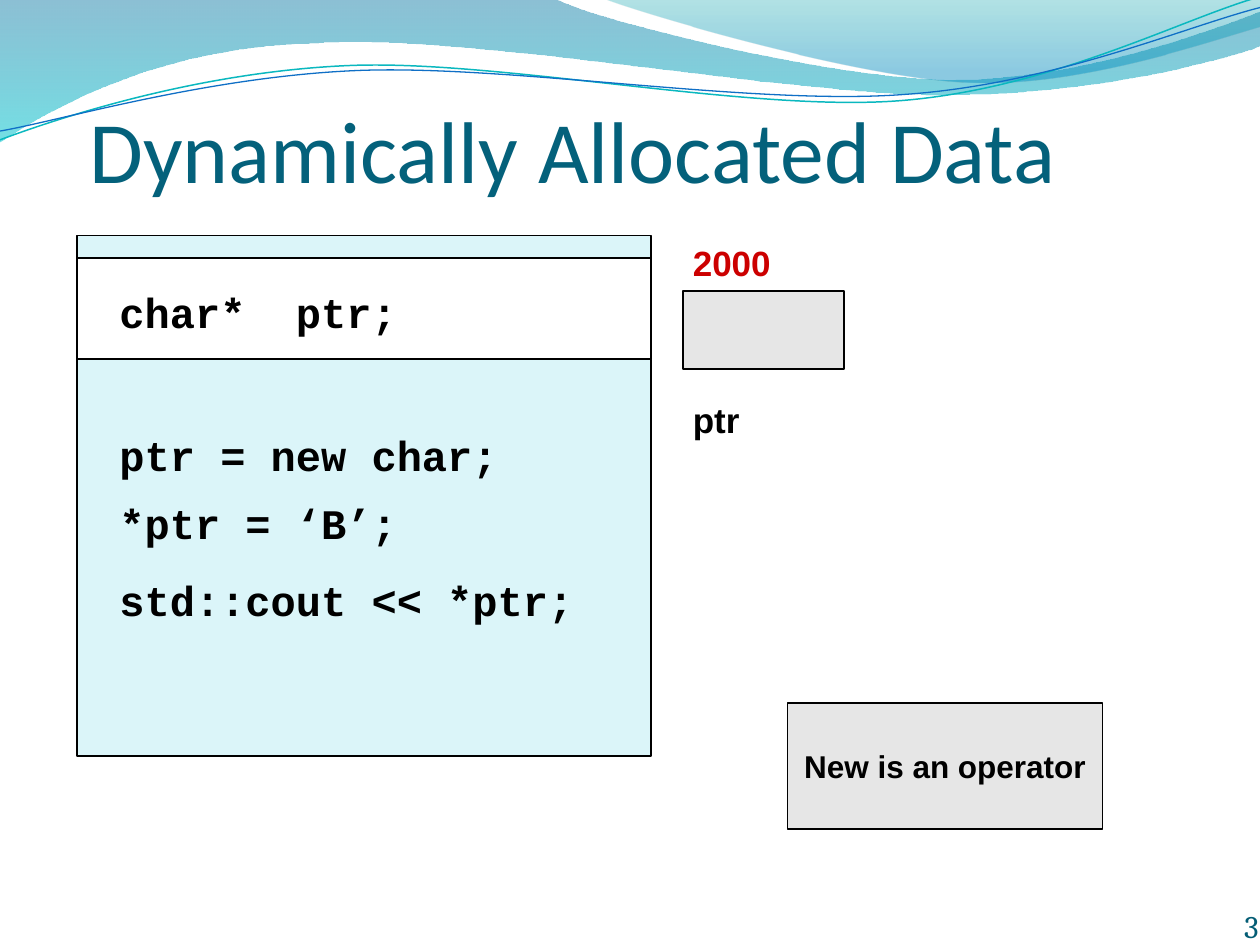
"""Build the slide on dynamically allocated data with its wave header."""
from dataclasses import dataclass
from math import cos, radians, sin

from lxml.etree import SubElement
from pptx import Presentation
from pptx.dml.color import RGBColor
from pptx.enum.shapes import MSO_SHAPE
from pptx.enum.text import MSO_ANCHOR, PP_ALIGN
from pptx.oxml.ns import qn
from pptx.util import Inches, Pt


@dataclass(frozen=True)
class Theme:
    title: str = "04617B"
    number: str = "045D75"
    ink: str = "000000"
    address: str = "CC0000"
    panel: str = "DBF5F9"
    box: str = "E6E6E6"
    paper: str = "FFFFFF"
    band_stops: tuple = (((0, "0074A1", 45), (1, "00C6CF", 55)),
                         ((0, "00A1A9", 30), (0.8, "008BBF", 45)))
    strands: tuple = ("0AB8BF", "0F6FC6")
    title_size: int = 50
    code_size: int = 24
    label_size: int = 20
    note_size: int = 18


def add_wave(shapes, start, segments, tilt=0):
    """Add a freeform of straight (2 numbers) and cubic (6 numbers) segments."""
    points = [start] + [seg[i:i + 2] for seg in segments for i in range(0, len(seg), 2)]
    cx, cy = 4.99, 0.58
    c, sn = cos(radians(-tilt)), sin(radians(-tilt))
    points = [(Inches(cx + (x - cx) * c - (y - cy) * sn),
               Inches(cy + (x - cx) * sn + (y - cy) * c)) for x, y in points]
    builder = shapes.build_freeform(*points[0])
    builder.add_line_segments(points[1:], close=points[0] == points[-1])
    sp = builder.convert_to_shape()
    sp.shadow.inherit = False
    sp.rotation = tilt
    lines = iter(list(sp.element.iter(qn("a:lnTo"))))
    for seg in segments:
        first = next(lines)
        if len(seg) == 6:
            first.tag = qn("a:cubicBezTo")
            for _ in range(2):
                line = next(lines)
                first.append(line[0])
                line.getparent().remove(line)
    return sp


def add_run(p, text, font, size, color, bold=True):
    """Add a formatted run to a paragraph."""
    r = p.add_run()
    r.text = text
    r.font.name = font
    r.font.size = Pt(size)
    r.font.bold = bold
    r.font.color.rgb = RGBColor.from_string(color)


theme = Theme()
prs = Presentation()
prs.slide_width, prs.slide_height = Inches(10), Inches(7.5)
s = prs.slides.add_slide(prs.slide_layouts[5])

bands = [
    ((0, 0), [(4.4, -0.01), (4.76, 0.17, 6.64, 0.63, 7.58, 0.63),
              (8.53, 0.63, 9.58, 0.26, 10, 0.09), (10.01, 0.36),
              (9.83, 0.44, 8.7, 0.76, 7.46, 0.75), (6.22, 0.75, 3.82, 0.28, 2.57, 0.34),
              (1.29, 0.36, 0.46, 0.83, -0.01, 1.13), (0, 0)]),
    ((4.79, -0.01), [(5.09, 0.11, 6.82, 0.62, 7.69, 0.65),
                     (8.56, 0.69, 9.61, 0.32, 10, 0.21), (10, 0), (4.79, -0.01)]),
]
for (start, segments), stops in zip(bands, theme.band_stops):
    sp = add_wave(s.shapes, start, segments)
    sp.line.fill.background()
    sp.fill.gradient()
    sp.fill.gradient_angle = 270
    for stop, (position, color, _) in zip(sp.fill.gradient_stops, stops):
        stop.position = position
        stop.color.rgb = RGBColor.from_string(color)
    for clr, (_, _, opacity) in zip(sp.element.spPr.iter(qn("a:srgbClr")), stops):
        SubElement(clr, qn("a:alpha"), val=str(opacity * 1000))

strands = [
    ((0, 1.11), [(0.48, 0.93, 1.58, 0.57, 2.77, 0.52), (3.95, 0.47, 5.93, 0.89, 7.13, 0.8),
                 (8.33, 0.71, 9.38, 0.15, 9.98, -0.02)], 0.85),
    ((0, 1.04), [(0.47, 0.96, 1.64, 0.61, 2.83, 0.56), (4.03, 0.51, 5.97, 0.84, 7.17, 0.75),
                 (8.36, 0.67, 9.41, 0.21, 10, 0.06)], 0.75),
]
for (start, segments, width), color in zip(strands, theme.strands):
    sp = add_wave(s.shapes, start, segments, -2.7)
    sp.fill.background()
    sp.line.color.rgb = RGBColor.from_string(color)
    sp.line.width = Pt(width)

title = s.shapes.title
title.left, title.top, title.width, title.height = (Inches(v) for v in (0.61, 0.71, 9, 1.25))
tf = title.text_frame
tf.vertical_anchor = MSO_ANCHOR.TOP
p = tf.paragraphs[0]
p.alignment = PP_ALIGN.LEFT
add_run(p, "Dynamically Allocated Data", "Calibri", theme.title_size, theme.title, False)

boxes = [
    ((0.61, 1.87, 4.56, 4.13), theme.panel, 1, ""),
    ((5.42, 2.31, 1.28, 0.62), theme.box, 1, ""),
    ((0.61, 2.05, 4.56, 0.8), theme.paper, 1, ""),
    ((6.25, 5.58, 2.5, 1), theme.box, 0.75, "New is an operator"),
]
for place, color, width, text in boxes:
    sp = s.shapes.add_shape(MSO_SHAPE.RECTANGLE, *(Inches(v) for v in place))
    sp.shadow.inherit = False
    sp.fill.solid()
    sp.fill.fore_color.rgb = RGBColor.from_string(color)
    sp.line.color.rgb = RGBColor.from_string(theme.ink)
    sp.line.width = Pt(width)
    if text:
        tf = sp.text_frame
        tf.word_wrap = False
        tf.vertical_anchor = MSO_ANCHOR.MIDDLE
        p = tf.paragraphs[0]
        p.alignment = PP_ALIGN.CENTER
        add_run(p, text, "Arial", theme.note_size, theme.ink)

texts = [
    ((5.4, 1.88, 3.75, 2.33), 0.04, "Arial", theme.label_size, 1,
     [("2000", theme.address, 0), ("ptr", theme.ink, 65.5)]),
    ((0.85, 1.96, 8.6, 4.65), 0.36, "Courier New", theme.code_size, 0.9,
     [("char*  ptr;", theme.ink, 0), ("ptr = new char;", theme.ink, 56),
      ("*ptr = ‘B’;", theme.ink, 12.5), ("std::cout << *ptr;", theme.ink, 18.5)]),
]
for place, inset, font, size, spacing, lines in texts:
    tf = s.shapes.add_textbox(*(Inches(v) for v in place)).text_frame
    tf.word_wrap = True
    tf.margin_top = Inches(inset)
    for i, (text, color, gap) in enumerate(lines):
        p = tf.add_paragraph() if i else tf.paragraphs[0]
        p.line_spacing = spacing
        if gap:
            p.space_before = Pt(gap)
        add_run(p, text, font, size, color)

tf = s.shapes.add_textbox(Inches(7.91), Inches(7), Inches(2.08), Inches(0.5)).text_frame
tf.margin_left = tf.margin_right = tf.margin_top = tf.margin_bottom = 0
tf.word_wrap = True
tf.vertical_anchor = MSO_ANCHOR.BOTTOM
p = tf.paragraphs[0]
p.alignment = PP_ALIGN.RIGHT
add_run(p, "3", "Cambria", theme.note_size, theme.number, False)

prs.save("out.pptx")
